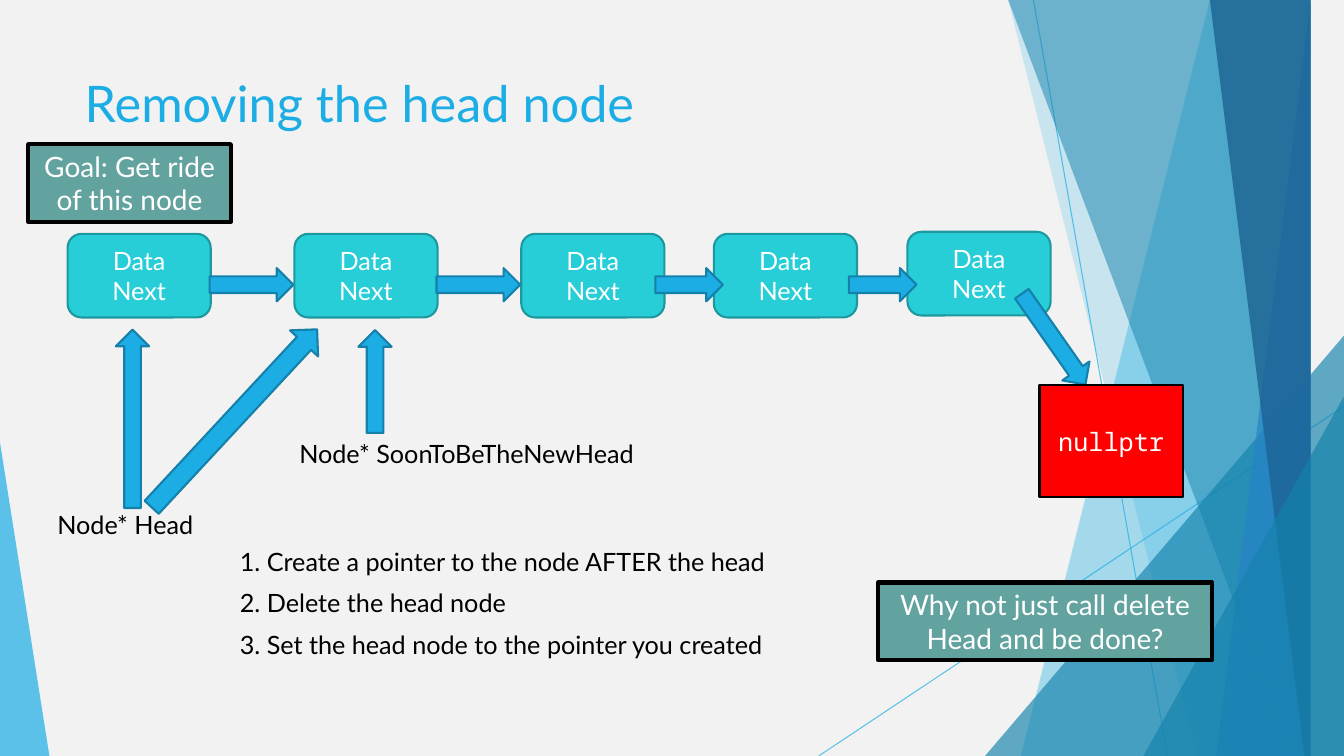
import dataclasses

import lxml.etree
import pptx
import pptx.dml.color
import pptx.enum.shapes
import pptx.enum.text
import pptx.oxml.ns
import pptx.util

Inches = pptx.util.Inches
Pt = pptx.util.Pt
SHAPE = pptx.enum.shapes.MSO_SHAPE
ALIGN = pptx.enum.text.PP_ALIGN
ANCHOR = pptx.enum.text.MSO_ANCHOR


@dataclasses.dataclass(frozen=True)
class Theme:
    """Colours, fonts and type sizes of the slide."""
    font: str = "Lato"
    mono: str = "Noto Sans Mono"
    title: int = 36
    callout: int = 20
    body: int = 18
    paper: str = "F2F2F2"
    sky: str = "1CADE4"
    sky_edge: str = "1580A9"
    ocean: str = "1482AC"
    blue: str = "2683C6"
    navy: str = "1D6294"
    node: str = "27CED7"
    node_edge: str = "1D989F"
    sage: str = "62A39F"
    red: str = "FF0000"
    black: str = "000000"
    white: str = "FFFFFF"


T = Theme()


def rgb(color):
    """Turn a hex string into a colour."""
    return pptx.dml.color.RGBColor.from_string(color)


def set_alpha(sp, percent):
    """Make the first colour of a shape partly transparent."""
    clr = next(sp._element.spPr.iter(pptx.oxml.ns.qn("a:srgbClr")))
    alpha = lxml.etree.SubElement(clr, pptx.oxml.ns.qn("a:alpha"))
    alpha.set("val", str(percent * 1000))


def paint(sp, fill, edge=None, width=1.5):
    """Give a shape its fill and outline, without a shadow."""
    sp.shadow.inherit = False
    sp.fill.solid()
    sp.fill.fore_color.rgb = rgb(fill)
    if edge is None:
        sp.line.fill.background()
    else:
        sp.line.color.rgb = rgb(edge)
        sp.line.width = Pt(width)


def write(sp, lines, size, color, align=ALIGN.LEFT, anchor=ANCHOR.TOP, font=T.font):
    """Fill a shape with one paragraph per line."""
    tf = sp.text_frame
    tf.word_wrap = True
    tf.vertical_anchor = anchor
    tf.text = "\n".join(lines)
    for p in tf.paragraphs:
        p.alignment = align
        p.font.name = font
        p.font.size = Pt(size)
        p.font.color.rgb = rgb(color)


def add_ray(s, x1, y1, x2, y2):
    """Add a thin background line."""
    ray = s.shapes.add_connector(pptx.enum.shapes.MSO_CONNECTOR.STRAIGHT,
                                 Inches(x1), Inches(y1), Inches(x2), Inches(y2))
    ray.line.color.rgb = rgb(T.sky)
    ray.line.width = Pt(0.75)
    set_alpha(ray, 70)
    lxml.etree.SubElement(ray._element.spPr, pptx.oxml.ns.qn("a:effectLst"))


def add_band(s, top_x, bottom_x, color, alpha):
    """Add a slanted band that reaches the right edge of the slide."""
    fb = s.shapes.build_freeform(top_x, 0, scale=Inches(1))
    fb.add_line_segments([(13.33, 0), (13.33, 7.5), (bottom_x, 7.5)], close=True)
    sp = fb.convert_to_shape()
    paint(sp, color)
    set_alpha(sp, alpha)


def add_shape(s, kind, x, y, w, h, fill, edge=None, width=1.5):
    """Add a painted preset shape."""
    sp = s.shapes.add_shape(kind, Inches(x), Inches(y), Inches(w), Inches(h))
    paint(sp, fill, edge, width)
    return sp


def add_wedge(s, x, y, w, peak, color, alpha):
    """Add a triangle that stands on the bottom edge of the slide."""
    sp = add_shape(s, SHAPE.ISOSCELES_TRIANGLE, x, y, w, 7.5 - y, color)
    sp.adjustments[0] = peak
    set_alpha(sp, alpha)


def add_node(s, x, y):
    """Add one list node."""
    sp = add_shape(s, SHAPE.ROUNDED_RECTANGLE, x, y, 1.42, 0.83, T.node, T.node_edge)
    write(sp, ["Data", "Next"], T.body, T.white, ALIGN.CENTER, ANCHOR.MIDDLE)


def add_arrow(s, x, y, w, h=0.33, rotation=0):
    """Add a block arrow."""
    sp = add_shape(s, SHAPE.RIGHT_ARROW, x, y, w, h, T.sky, T.sky_edge)
    sp.rotation = rotation


def add_label(s, x, y, w, text):
    """Add a line of black text."""
    sp = s.shapes.add_textbox(Inches(x), Inches(y), Inches(w), Inches(0.4))
    write(sp, [text], T.body, T.black)


def add_callout(s, x, y, w, text):
    """Add a bordered remark."""
    sp = add_shape(s, SHAPE.RECTANGLE, x, y, w, 0.77, T.sage, T.black, 3)
    write(sp, [text], T.callout, T.white, ALIGN.CENTER)


def add_title(s, text):
    """Place and fill the title placeholder."""
    sp = s.shapes.title
    sp.left, sp.top, sp.width, sp.height = map(Inches, (0.74, 0.67, 9.4, 0.93))
    write(sp, [text], T.title, T.sky)


def add_backdrop(s):
    """Draw the background facets."""
    s.background.fill.solid()
    s.background.fill.fore_color.rgb = rgb(T.paper)
    add_ray(s, 10.25, 0, 11.58, 7.5)
    add_ray(s, 13.33, 4.03, 8.12, 7.5)
    add_band(s, 12.28, 10.04, T.sky, 36)
    add_band(s, 10.5, 11.83, T.sky, 20)
    add_wedge(s, 9.77, 3.33, 3.56, 1, T.ocean, 66)
    add_band(s, 10.21, 12.91, T.ocean, 50)
    add_band(s, 13.03, 11.92, T.blue, 70)
    add_band(s, 11.96, 13.18, T.navy, 80)
    add_wedge(s, 11.34, 3.93, 1.99, 1, T.ocean, 66)
    add_wedge(s, 0, 4.39, 0.49, 0, T.sky, 70)


def add_linked_list(s):
    """Draw the nodes, their links and the closing null pointer."""
    for x, y in ((0.67, 2.32), (2.92, 2.32), (5.17, 2.32), (7.08, 2.32), (9, 2.3)):
        add_node(s, x, y)
    for x, w in ((2.08, 0.83), (4.33, 0.83), (6.5, 0.67), (8.42, 0.67)):
        add_arrow(s, x, 2.66, w)
    add_arrow(s, 9.9, 3.2, 1.1, rotation=55)
    null = add_shape(s, SHAPE.RECTANGLE, 10.31, 3.82, 1.42, 1.11, T.red, T.black)
    write(null, ["nullptr"], T.body, T.white, ALIGN.CENTER, ANCHOR.MIDDLE, T.mono)


def add_pointers(s):
    """Draw the named pointers and their arrows."""
    add_label(s, 0.47, 5, 1.81, "Node* Head")
    add_arrow(s, 0.43, 3.99, 1.77, rotation=270)
    add_label(s, 2.87, 4.3, 3.53, "Node* SoonToBeTheNewHead")
    add_arrow(s, 3.21, 3.62, 1.02, rotation=270)
    add_arrow(s, 1.12, 3.96, 2.41, 0.38, 312.9)


def main():
    """Build the slide and save it."""
    prs = pptx.Presentation()
    prs.slide_width, prs.slide_height = Inches(13.33), Inches(7.5)
    s = prs.slides.add_slide(prs.slide_layouts[5])
    add_backdrop(s)
    add_title(s, "Removing the head node")
    add_linked_list(s)
    add_pointers(s)
    steps = ("1. Create a pointer to the node AFTER the head",
             "2. Delete the head node",
             "3. Set the head node to the pointer you created")
    for i, step in enumerate(steps):
        add_label(s, 2.28, 5.37 + 0.41 * i, 6.3, step)
    add_callout(s, 0.28, 1.43, 2.01, "Goal: Get ride of this node")
    add_callout(s, 8.71, 5.78, 3.31, "Why not just call delete Head and be done?")
    prs.save("out.pptx")


main()
